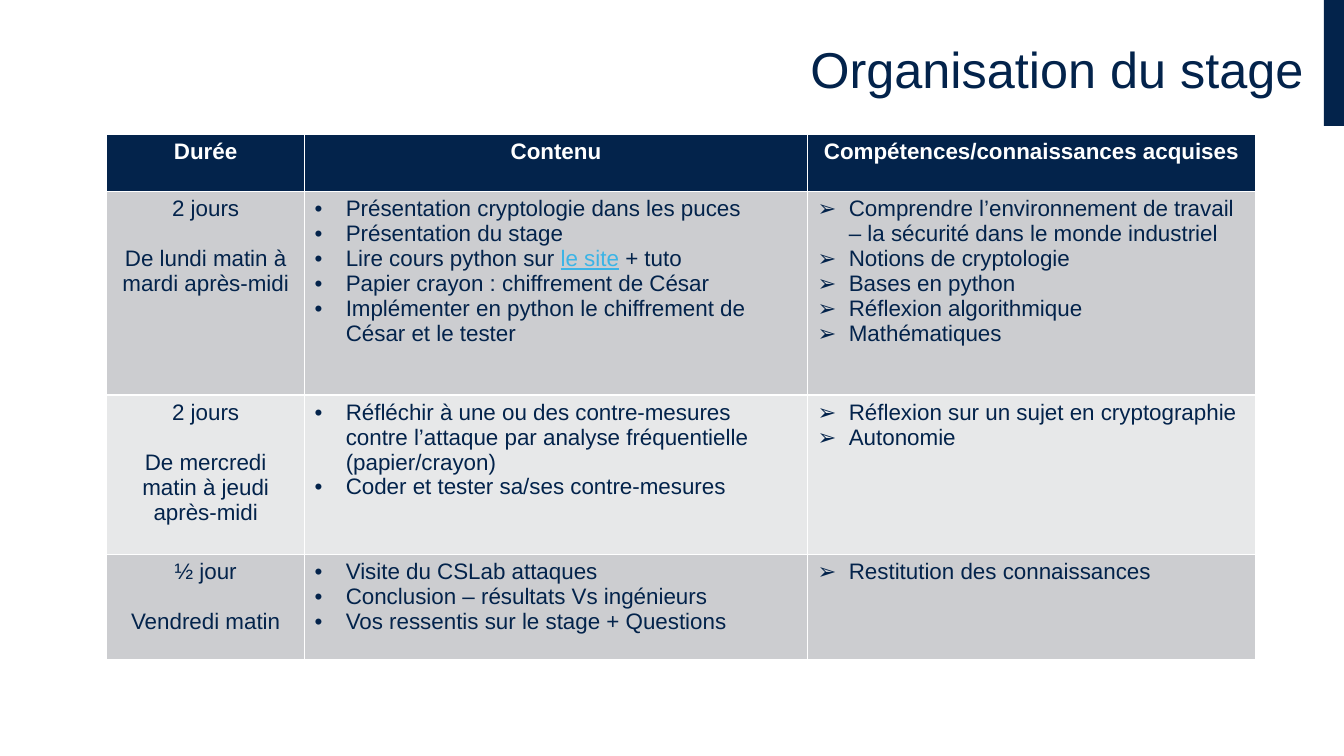
"""Build the slide that presents the organisation of the internship."""
from dataclasses import dataclass

from lxml import etree
from pptx import Presentation
from pptx import util as u
from pptx.dml.color import RGBColor
from pptx.enum import shapes, text
from pptx.oxml.ns import qn


@dataclass(frozen=True)
class Theme:
    font: str = "Arial"
    navy: str = "03234B"
    white: str = "FFFFFF"
    link: str = "3CB4E6"
    bands: tuple = ("CCCDD0", "E7E8E9")
    title_size: int = 36
    body_size: int = 16
    line_gap: int = 18


THEME = Theme()
LINK = "le site"
HEADERS = ["Durée", "Contenu", "Compétences/connaissances acquises"]
BULLETS = [None, "•", "➢"]
COLUMN_WIDTHS = [1.96, 4.99, 4.44]
ROW_HEIGHTS = [0.57, 2.02, 1.58, 1.04]
STAGES = [
    (
        ["2 jours", "De lundi matin à mardi après-midi"],
        [
            "Présentation cryptologie dans les puces",
            "Présentation du stage",
            f"Lire cours python sur {LINK} + tuto",
            "Papier crayon : chiffrement de César",
            "Implémenter en python le chiffrement de César et le tester",
        ],
        [
            "Comprendre l’environnement de travail – la sécurité dans le monde industriel",
            "Notions de cryptologie",
            "Bases en python",
            "Réflexion algorithmique",
            "Mathématiques",
        ],
    ),
    (
        ["2 jours", "De mercredi matin à jeudi après-midi"],
        [
            "Réfléchir à une ou des contre-mesures contre l’attaque par analyse "
            "fréquentielle (papier/crayon)",
            "Coder et tester sa/ses contre-mesures",
        ],
        ["Réflexion sur un sujet en cryptographie", "Autonomie"],
    ),
    (
        ["½ jour", "Vendredi matin"],
        [
            "Visite du CSLab attaques",
            "Conclusion – résultats Vs ingénieurs",
            "Vos ressentis sur le stage + Questions",
        ],
        ["Restitution des connaissances"],
    ),
]


def format_run(run, size, color, bold=False):
    run.font.name = THEME.font
    run.font.size = u.Pt(size)
    run.font.bold = bold
    run.font.color.rgb = RGBColor.from_string(color)


def add_bullet(paragraph, character):
    properties = paragraph._p.get_or_add_pPr()
    properties.set("marL", str(u.Inches(0.31)))
    properties.set("indent", str(u.Inches(-0.31)))
    etree.SubElement(properties, qn("a:buFont")).set("typeface", THEME.font)
    etree.SubElement(properties, qn("a:buChar")).set("char", character)


presentation = Presentation()
presentation.slide_width = u.Inches(13.33)
presentation.slide_height = u.Inches(7.5)
slide = presentation.slides.add_slide(presentation.slide_layouts.get_by_name("Title Only"))

corner_bar = slide.shapes.add_shape(
    shapes.MSO_SHAPE.RECTANGLE, u.Inches(13.13), 0, u.Inches(0.2), u.Inches(1.25)
)
corner_bar.shadow.inherit = False
corner_bar.fill.solid()
corner_bar.fill.fore_color.rgb = RGBColor.from_string(THEME.navy)
corner_bar.line.fill.background()

title = slide.shapes.title
title.left, title.top = u.Inches(0.33), u.Inches(0)
title.width, title.height = u.Inches(12.7), u.Inches(1.43)
title.text_frame.text = "Organisation du stage"
title.text_frame.vertical_anchor = text.MSO_ANCHOR.MIDDLE
heading = title.text_frame.paragraphs[0]
heading.alignment = text.PP_ALIGN.RIGHT
heading.line_spacing = 0.9
format_run(heading.runs[0], THEME.title_size, THEME.navy)

table = slide.shapes.add_table(
    len(ROW_HEIGHTS), len(COLUMN_WIDTHS), u.Inches(1.06), u.Inches(1.33),
    u.Inches(sum(COLUMN_WIDTHS)), u.Inches(sum(ROW_HEIGHTS)),
).table
for column, width in zip(table.columns, COLUMN_WIDTHS):
    column.width = u.Inches(width)
for row, height in zip(table.rows, ROW_HEIGHTS):
    row.height = u.Inches(height)

for column_index, label in enumerate(HEADERS):
    cell = table.cell(0, column_index)
    cell.fill.solid()
    cell.fill.fore_color.rgb = RGBColor.from_string(THEME.navy)
    cell.text_frame.text = label
    paragraph = cell.text_frame.paragraphs[0]
    paragraph.alignment = text.PP_ALIGN.CENTER
    format_run(paragraph.runs[0], THEME.body_size, THEME.white, bold=True)

for row_index, stage in enumerate(STAGES, start=1):
    for column_index, (lines, bullet) in enumerate(zip(stage, BULLETS)):
        cell = table.cell(row_index, column_index)
        cell.fill.solid()
        cell.fill.fore_color.rgb = RGBColor.from_string(THEME.bands[(row_index - 1) % 2])
        cell.text_frame.text = "\n".join(lines)
        for paragraph, line in zip(cell.text_frame.paragraphs, lines):
            if bullet:
                add_bullet(paragraph, bullet)
            else:
                paragraph.alignment = text.PP_ALIGN.CENTER
            before, link, after = line.partition(LINK)
            paragraph.runs[0].text = before
            for part in filter(None, (link, after)):
                paragraph.add_run().text = part
            for run in paragraph.runs:
                is_link = run.text == LINK
                format_run(run, THEME.body_size, THEME.link if is_link else THEME.navy)
                run.font.underline = is_link
        if not bullet:
            cell.text_frame.paragraphs[0].space_after = u.Pt(THEME.line_gap)

presentation.save("out.pptx")
